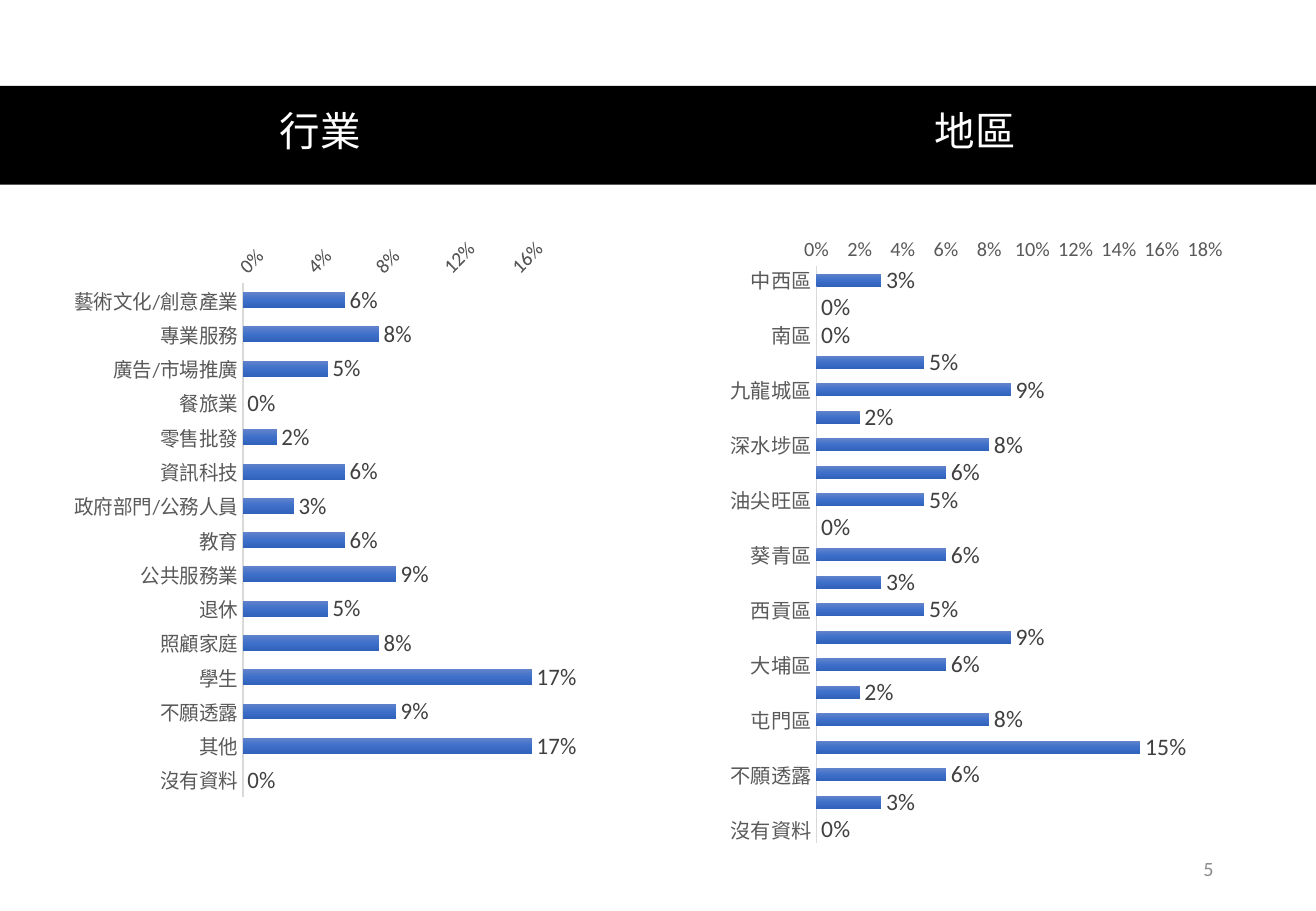
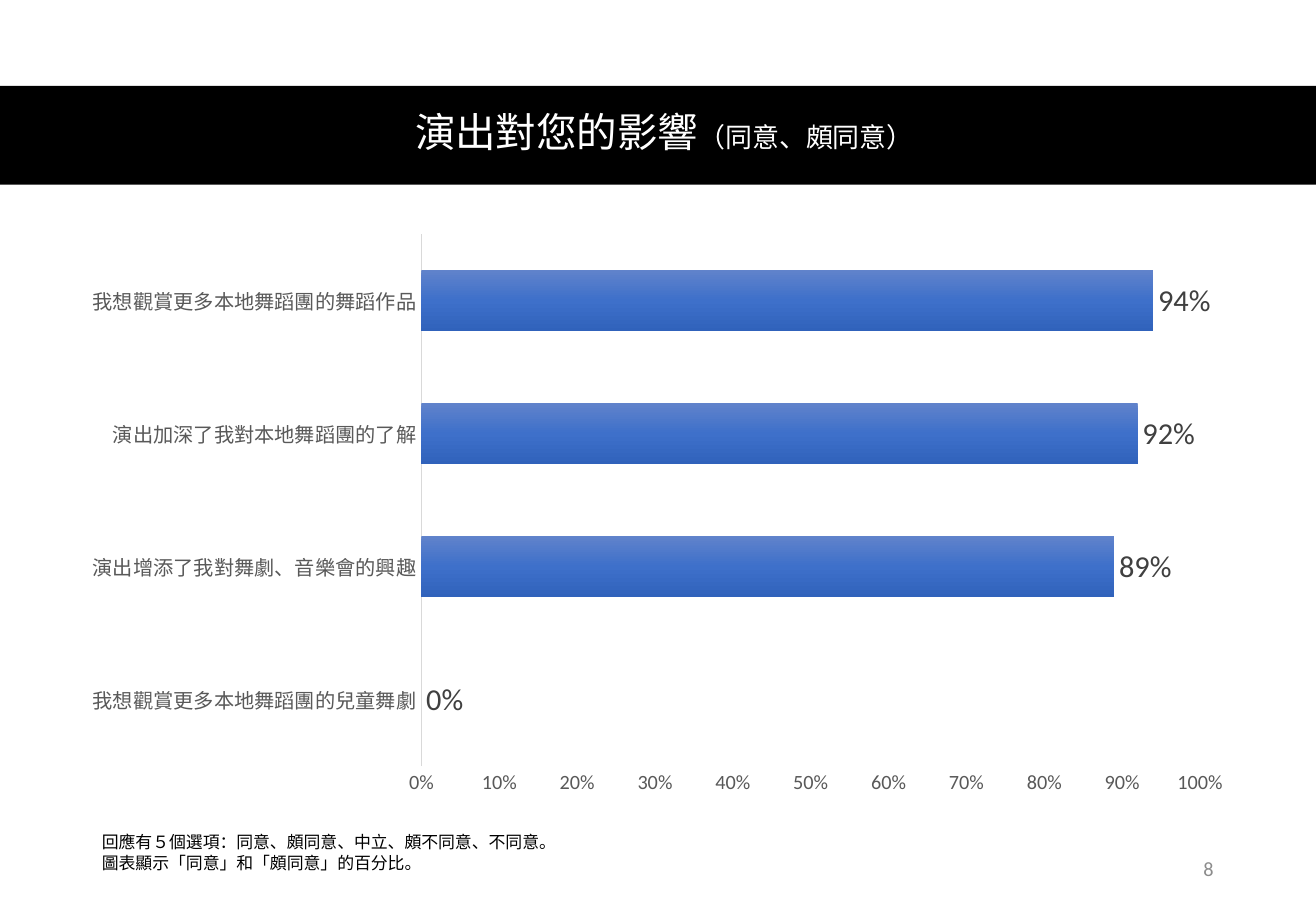
from collections import namedtuple
from dataclasses import dataclass

from lxml import etree
from pptx import Presentation
from pptx import util as u
from pptx.chart.data import CategoryChartData
from pptx.dml.color import RGBColor
from pptx.enum import chart as ch
from pptx.enum import shapes, text
from pptx.oxml.ns import qn

Box = namedtuple("Box", "left top width height")


@dataclass(frozen=True)
class Theme:
    band: str = "000000"
    title: str = "FFFFFF"
    note: str = "000000"
    number: str = "8C8C8C"
    axis_text: str = "595959"
    axis_line: str = "D9D9D9"
    label: str = "404040"
    bar_stops: tuple = ((0, "6183CB"), (50, "3E70CA"), (100, "3062BB"))
    heading_font: str = "Arial"
    body_font: str = "Calibri"
    title_size: int = 24
    subtitle_size: int = 16
    axis_size: int = 12
    number_size: int = 12
    note_size: int = 10


THEME = Theme()
PAGE = Box(0, 0, 780, 540)
BAND = Box(0, 51, PAGE.width, 58.5)
NUMBER = Box(550.8, 500.4, 175.7, 28.8)

INDUSTRIES = {
    "藝術文化/創意產業": 0.06, "專業服務": 0.08, "廣告/市場推廣": 0.05,
    "餐旅業": 0, "零售批發": 0.02, "資訊科技": 0.06,
    "政府部門/公務人員": 0.03, "教育": 0.06, "公共服務業": 0.09,
    "退休": 0.05, "照顧家庭": 0.08, "學生": 0.17,
    "不願透露": 0.09, "其他": 0.17, "沒有資料": 0,
}
DISTRICTS = {
    "中西區": 0.03, "東區": 0, "南區": 0, "灣仔區": 0.05, "九龍城區": 0.09,
    "觀塘區": 0.02, "深水埗區": 0.08, "黃大仙區": 0.06, "油尖旺區": 0.05,
    "離島區": 0, "葵青區": 0.06, "北區": 0.03, "西貢區": 0.05,
    "沙田區": 0.09, "大埔區": 0.06, "荃灣區": 0.02, "屯門區": 0.08,
    "元朗區": 0.15, "不願透露": 0.06, "其他": 0.03, "沒有資料": 0,
}
IMPACTS = {
    "我想觀賞更多本地舞蹈團的兒童舞劇": 0,
    "演出增添了我對舞劇、音樂會的興趣": 0.89,
    "演出加深了我對本地舞蹈團的了解": 0.92,
    "我想觀賞更多本地舞蹈團的舞蹈作品": 0.94,
}
NOTE = (
    "回應有５個選項：同意、頗同意、中立、頗不同意、不同意。",
    "圖表顯示「同意」和「頗同意」的百分比。",
)


def points(box):
    return [u.Pt(length) for length in box]


def style_font(font, name, size, color):
    font.name = name
    font.size = u.Pt(size)
    font.color.rgb = RGBColor.from_string(color)


def add_text(page, box, paragraphs, font, color, align, anchor, spacing=None, wrap=True):
    frame = page.shapes.add_textbox(*points(box)).text_frame
    frame.word_wrap = wrap
    frame.vertical_anchor = anchor
    for index, spans in enumerate(paragraphs):
        para = frame.paragraphs[0] if index == 0 else frame.add_paragraph()
        para.alignment = align
        para.line_spacing = spacing
        for words, size in spans:
            span = para.add_run()
            span.text = words
            style_font(span.font, font, size, color)


def add_title(page, box, title, subtitle=None):
    spans = [(title, THEME.title_size)]
    if subtitle:
        spans.append((subtitle, THEME.subtitle_size))
    add_text(page, box, [spans], THEME.heading_font, THEME.title,
             text.PP_ALIGN.CENTER, text.MSO_ANCHOR.MIDDLE, spacing=0.9)


def add_note(page, box, lines):
    add_text(page, box, [[(line, THEME.note_size)] for line in lines],
             THEME.heading_font, THEME.note, text.PP_ALIGN.LEFT,
             text.MSO_ANCHOR.TOP, wrap=False)


def add_page(deck, number):
    page = deck.slides.add_slide(deck.slide_layouts[6])
    band = page.shapes.add_shape(shapes.MSO_SHAPE.RECTANGLE, *points(BAND))
    band.shadow.inherit = False
    band.fill.solid()
    band.fill.fore_color.rgb = RGBColor.from_string(THEME.band)
    band.line.fill.background()
    add_text(page, NUMBER, [[(str(number), THEME.number_size)]],
             THEME.body_font, THEME.number, text.PP_ALIGN.RIGHT,
             text.MSO_ANCHOR.MIDDLE)
    return page


def fill_bars(series):
    series.format.fill.gradient()
    gradient = series.format.fill._xPr.find(qn("a:gradFill"))
    for child in list(gradient):
        gradient.remove(child)
    stops = etree.SubElement(gradient, qn("a:gsLst"))
    for position, color in THEME.bar_stops:
        stop = etree.SubElement(stops, qn("a:gs"), pos=str(position * 1000))
        etree.SubElement(stop, qn("a:srgbClr"), val=color)
    etree.SubElement(gradient, qn("a:lin"), ang="5400000", scaled="0")


def add_bar_chart(page, box, values, label_size, maximum, top_down=False):
    data = CategoryChartData(number_format="0%")
    data.categories = list(values)
    data.add_series("Series 1", list(values.values()))
    chart = page.shapes.add_chart(
        ch.XL_CHART_TYPE.BAR_CLUSTERED, *points(box), data).chart
    chart.has_legend = False
    chart.has_title = False
    style_font(chart.font, THEME.body_font, THEME.axis_size, THEME.axis_text)

    for axis in (chart.category_axis, chart.value_axis):
        axis.has_major_gridlines = False
        axis.major_tick_mark = ch.XL_TICK_MARK.NONE
        axis.minor_tick_mark = ch.XL_TICK_MARK.NONE
        style_font(axis.tick_labels.font, THEME.body_font,
                   THEME.axis_size, THEME.axis_text)
    chart.category_axis.reverse_order = top_down
    chart.category_axis.format.line.width = u.Pt(1)
    chart.category_axis.format.line.color.rgb = RGBColor.from_string(THEME.axis_line)
    chart.value_axis.format.line.fill.background()
    chart.value_axis.minimum_scale = 0
    chart.value_axis.maximum_scale = maximum
    chart.value_axis.tick_labels.number_format = "0%"
    chart.value_axis.tick_labels.number_format_is_linked = False

    plot = chart.plots[0]
    plot.gap_width = 115
    plot.overlap = -20
    plot.vary_by_categories = False
    fill_bars(plot.series[0])
    plot.has_data_labels = True
    labels = plot.data_labels
    labels.show_value = True
    labels.number_format = "0%"
    labels.number_format_is_linked = False
    labels.position = ch.XL_LABEL_POSITION.OUTSIDE_END
    style_font(labels.font, THEME.body_font, label_size, THEME.label)


def build_profile(deck):
    page = add_page(deck, 5)
    columns = (
        ("行業", 56, 38.2, 346.3, INDUSTRIES),
        ("地區", 444.2, 427, 375.1, DISTRICTS),
    )
    for title, title_left, chart_left, chart_height, values in columns:
        add_title(page, Box(title_left, 49.7, 267.8, 58.3), title)
        add_bar_chart(page, Box(chart_left, 133.2, 303.8, chart_height),
                      values, label_size=14, maximum=0.18, top_down=True)


def build_impact(deck):
    page = add_page(deck, 8)
    add_title(page, Box(35.3, 50.4, 717.1, 58.3), "演出對您的影響", "（同意、頗同意）")
    add_bar_chart(page, Box(41, 131.8, 697.7, 346.3), IMPACTS,
                  label_size=18, maximum=1)
    add_note(page, Box(53.3, 489.6, 287.3, 31.7), NOTE)


def main():
    deck = Presentation()
    deck.slide_width = u.Pt(PAGE.width)
    deck.slide_height = u.Pt(PAGE.height)
    build_profile(deck)
    build_impact(deck)
    deck.save("out.pptx")


if __name__ == "__main__":
    main()
